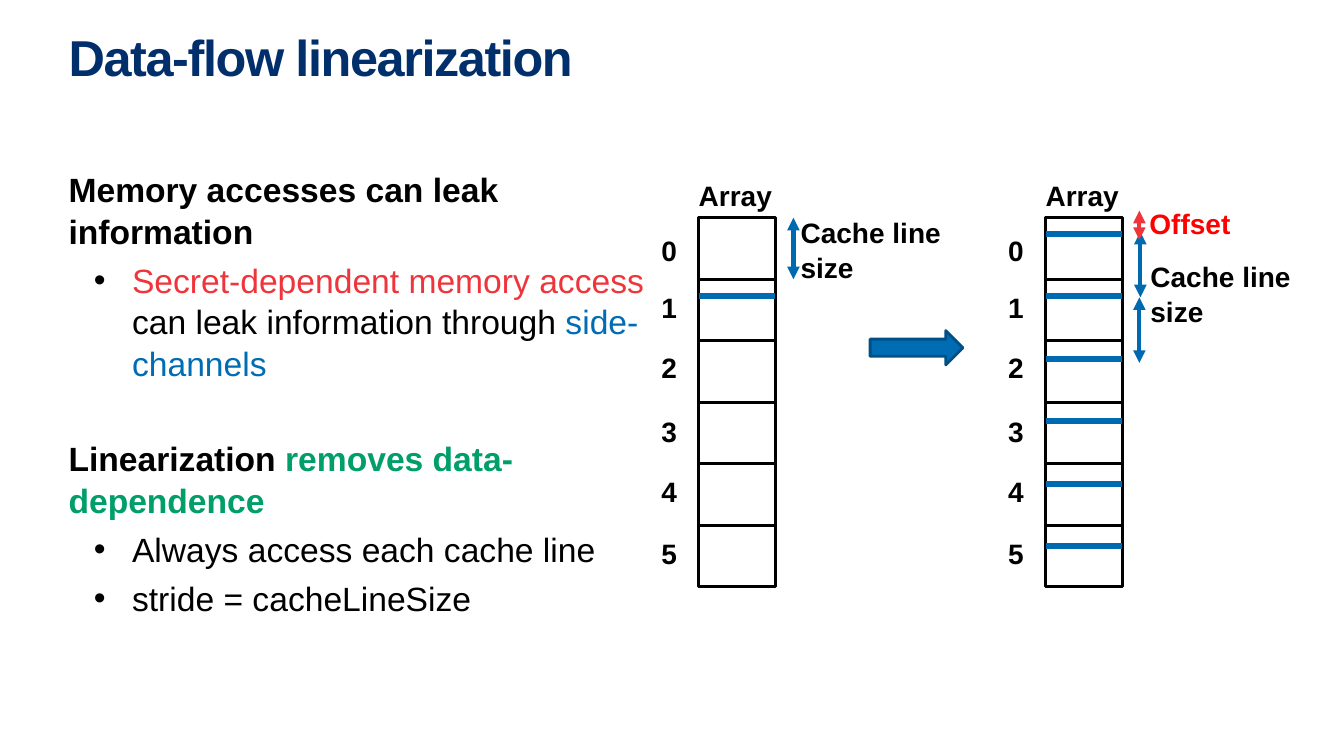
from dataclasses import dataclass
from lxml.etree import SubElement
from pptx import Presentation
from pptx.dml.color import RGBColor
from pptx.enum.shapes import MSO_CONNECTOR, MSO_SHAPE
from pptx.enum.text import MSO_ANCHOR, MSO_AUTO_SIZE, PP_ALIGN
from pptx.oxml.ns import qn
from pptx.util import Inches, Pt


@dataclass(frozen=True)
class Theme:
    font: str = "Arial"
    navy: str = "002F6C"
    black: str = "000000"
    white: str = "FFFFFF"
    red: str = "EF353B"
    offset_red: str = "FF0000"
    blue: str = "006CB4"
    line_blue: str = "006AB0"
    dark_blue: str = "005085"
    green: str = "009E69"
    title_size: int = 36
    body_size: int = 24
    label_size: int = 20
    line_spacing: float = 1.04


THEME = Theme()

# Content: each body paragraph is (is bullet, space before in points, runs)
TITLE = "Data-flow linearization"
BODY = [
    (False, 4.8, [("Memory accesses can leak information", THEME.black)]),
    (True, 4.8, [("Secret-dependent memory access ", THEME.red),
                 ("can leak information through ", THEME.black),
                 ("side-channels", THEME.blue)]),
    (False, 38, [("Linearization ", THEME.black),
                 ("removes data-dependence", THEME.green)]),
    (True, 4.8, [("Always access each cache line", THEME.black)]),
    (True, 4.8, [("stride = cacheLineSize", THEME.black)]),
]
# Left edge of each array and the cache lines it accesses
ARRAYS = [(6.93, [1]), (10.37, range(6))]
INDEX_TOPS = [2.3, 2.87, 3.46, 4.1, 4.69, 5.31]
# Left, top, width, text, colour
CALLOUTS = [
    (7.94, 2.13, 1.48, "Cache line size", THEME.black),
    (11.41, 2.56, 1.48, "Cache line size", THEME.black),
    (11.4, 2.04, 0.89, "Offset", THEME.offset_red),
]
# x, top, bottom, colour
SPANS = [
    (7.87, 2.16, 2.77, THEME.line_blue),
    (11.31, 2.3, 2.95, THEME.line_blue),
    (11.3, 2.95, 3.6, THEME.line_blue),
    (11.3, 2.09, 2.38, THEME.red),
]

# Array geometry in inches
ARRAY_TOP, CELL_WIDTH, CELL_HEIGHT = 2.16, 0.76, 0.61
FIRST_ACCESS, STRIDE = 2.32, 0.62


def rgb(colour):
    return RGBColor.from_string(colour)


def box(left, top, width, height):
    return [Inches(value) for value in (left, top, width, height)]


def prepare(frame):
    frame.word_wrap = True
    frame.auto_size = MSO_AUTO_SIZE.NONE
    frame.vertical_anchor = MSO_ANCHOR.TOP
    frame.margin_left = frame.margin_right = 0
    frame.margin_top = frame.margin_bottom = 0
    return frame


def style(paragraph, size, bold, spacing=THEME.line_spacing):
    paragraph.alignment = PP_ALIGN.LEFT
    paragraph.line_spacing = spacing
    paragraph.font.name = THEME.font
    paragraph.font.size = Pt(size)
    paragraph.font.bold = bold


def add_label(slide, left, top, width, text, colour=THEME.black):
    label = slide.shapes.add_textbox(*box(left, top, width, 0.34))
    paragraph = prepare(label.text_frame).paragraphs[0]
    paragraph.text = text
    style(paragraph, THEME.label_size, True)
    paragraph.font.color.rgb = rgb(colour)


def add_shape(slide, kind, place, fill, line, weight):
    shape = slide.shapes.add_shape(kind, *box(*place))
    shape.shadow.inherit = False
    shape.fill.solid()
    shape.fill.fore_color.rgb = rgb(fill)
    shape.line.color.rgb = rgb(line)
    shape.line.width = Pt(weight)


def add_line(slide, start, end, colour, weight, arrows=False):
    points = [Inches(value) for value in (*start, *end)]
    line = slide.shapes.add_connector(MSO_CONNECTOR.STRAIGHT, *points)
    line.line.color.rgb = rgb(colour)
    line.line.width = Pt(weight)
    if arrows:
        for end_tag in ("a:headEnd", "a:tailEnd"):
            SubElement(line.line._get_or_add_ln(), qn(end_tag), type="triangle")
    SubElement(line._element.spPr, qn("a:effectLst"))


def add_title(slide):
    title = slide.shapes.title
    title.left, title.top, title.width, title.height = box(0.68, 0.35, 11.97, 1.31)
    paragraph = prepare(title.text_frame).paragraphs[0]
    paragraph.text = TITLE
    style(paragraph, THEME.title_size, True, 0.85)
    paragraph.font.color.rgb = rgb(THEME.navy)
    paragraph.runs[0].font._element.set("spc", "-100")


def add_body(slide):
    body = slide.shapes.add_textbox(*box(0.68, 1.66, 5.82, 4.38))
    frame = prepare(body.text_frame)
    for number, (bullet, space_before, runs) in enumerate(BODY):
        paragraph = frame.add_paragraph() if number else frame.paragraphs[0]
        style(paragraph, THEME.body_size, not bullet)
        paragraph.space_before = Pt(space_before)
        for text, colour in runs:
            run = paragraph.add_run()
            run.text = text
            run.font.color.rgb = rgb(colour)
        if bullet:
            add_bullet(paragraph)


def add_bullet(paragraph):
    properties = paragraph._p.get_or_add_pPr()
    properties.set("marL", str(Inches(0.63)))
    properties.set("indent", str(Inches(-0.38)))
    # Bullet properties come before the default run properties
    default_run = properties.find(qn("a:defRPr"))
    bullet_colour = SubElement(properties, qn("a:buClr"))
    SubElement(bullet_colour, qn("a:srgbClr"), val=THEME.black)
    SubElement(properties, qn("a:buFont"), typeface=THEME.font)
    SubElement(properties, qn("a:buChar"), char="•")
    if default_run is not None:
        properties.append(default_run)


def add_array(slide, left, accesses):
    add_label(slide, left, 1.76, CELL_WIDTH, "Array")
    for index, label_top in enumerate(INDEX_TOPS):
        cell = (left, ARRAY_TOP + index * CELL_HEIGHT, CELL_WIDTH, CELL_HEIGHT)
        add_shape(slide, MSO_SHAPE.RECTANGLE, cell, THEME.white, THEME.black, 2.25)
        add_label(slide, left - 0.37, label_top, 0.36, str(index))
    for index in accesses:
        y = FIRST_ACCESS + index * STRIDE
        add_line(slide, (left, y), (left + CELL_WIDTH, y), THEME.line_blue, 4.5)


def main():
    deck = Presentation()
    deck.slide_width, deck.slide_height = Inches(13.33), Inches(7.5)
    slide = deck.slides.add_slide(deck.slide_layouts[5])

    # Title and explanation
    add_title(slide)
    add_body(slide)

    # Arrays before and after linearization
    for left, accesses in ARRAYS:
        add_array(slide, left, accesses)
    add_shape(slide, MSO_SHAPE.RIGHT_ARROW, (8.63, 3.28, 0.92, 0.34),
              THEME.blue, THEME.dark_blue, 2)

    # Size and offset markers
    for x, top, bottom, colour in SPANS:
        add_line(slide, (x, top), (x, bottom), colour, 3, arrows=True)
    for callout in CALLOUTS:
        add_label(slide, *callout)

    deck.save("out.pptx")


if __name__ == "__main__":
    main()
